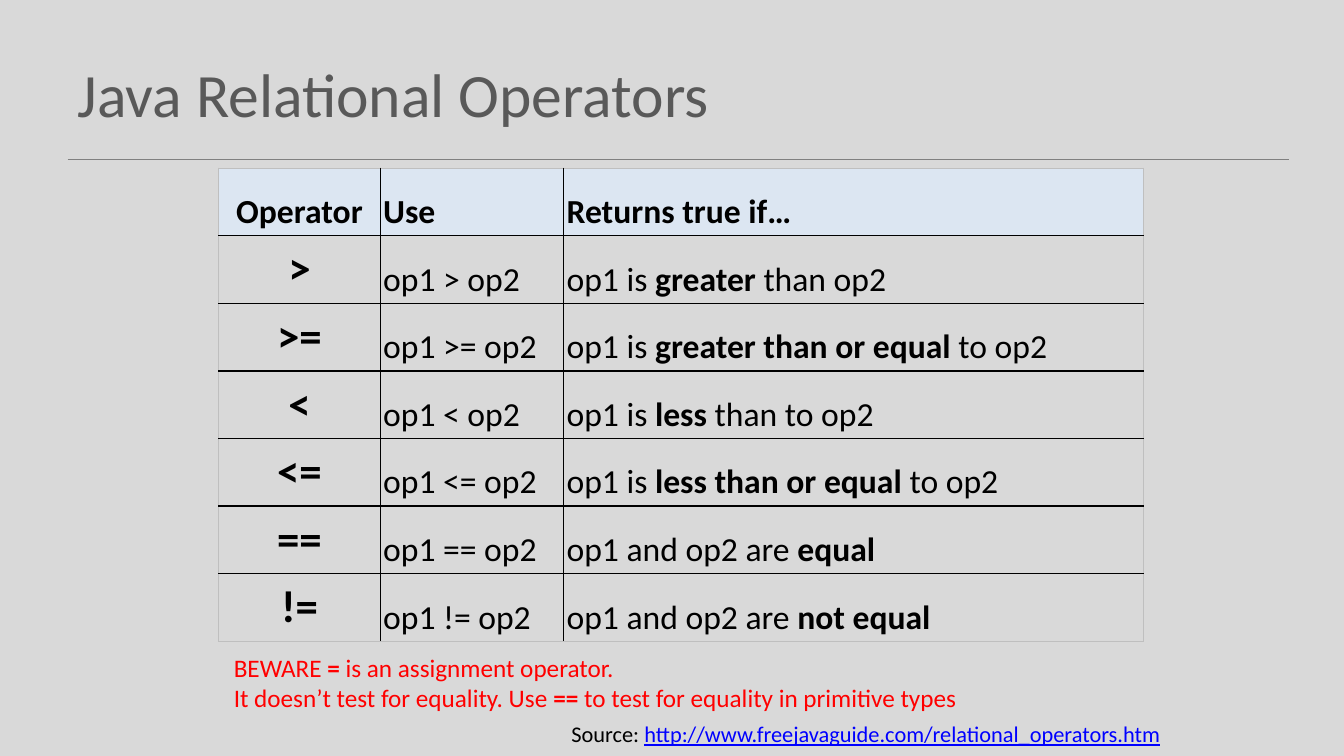
from lxml import etree
from pptx import Presentation
from pptx.dml.color import RGBColor
from pptx.enum import shapes, text
from pptx.oxml import ns
from pptx.util import Inches, Pt

BACKGROUND = RGBColor(0xD9, 0xD9, 0xD9)
TITLE_GREY = RGBColor(0x59, 0x59, 0x59)
RULE_GREY = RGBColor(0x80, 0x80, 0x80)
EDGE_GREY = RGBColor(0xBF, 0xBF, 0xBF)
HEADER_BLUE = RGBColor(0xDC, 0xE6, 0xF2)
BLACK = RGBColor(0, 0, 0)
RED = RGBColor(0xFF, 0, 0)
LINK_BLUE = RGBColor(0, 0, 0xFF)

COLUMN_WIDTHS = (1.6, 1.82, 5.75)
HEADER = ("Operator", "Use", "Returns true if…")
OPERATORS = (
    (">", "op1 is **greater** than op2"),
    (">=", "op1 is **greater than or equal** to op2"),
    ("<", "op1 is **less** than to op2"),
    ("<=", "op1 is **less than or equal** to op2"),
    ("==", "op1 and op2 are **equal**"),
    ("!=", "op1 and op2 are **not equal**"),
)


def add_run(p, words, size, color, **extra):
    r = p.add_run()
    r.text = words
    r.font.color.rgb = color
    formats = {"name": "Calibri", "size": Pt(size), **extra}
    for name, value in formats.items():
        setattr(r.font, name, value)


def write(p, marked, size, color):
    """Fill a paragraph, with the parts between ** marks in bold."""
    for i, words in enumerate(marked.split("**")):
        if words:
            add_run(p, words, size, color, bold=i % 2 == 1)


def add_title(slide, words):
    sp = slide.shapes.title
    place = {"left": 0.67, "top": 0.3, "width": 12, "height": 1.25}
    for name, value in place.items():
        setattr(sp, name, Inches(value))
    tf = sp.text_frame
    tf.vertical_anchor = text.MSO_ANCHOR.MIDDLE
    p = tf.paragraphs[0]
    p.alignment = text.PP_ALIGN.LEFT
    write(p, words, 44, TITLE_GREY)


def add_rule(slide):
    line = slide.shapes.add_connector(
        shapes.MSO_CONNECTOR.STRAIGHT,
        Inches(0.67), Inches(1.58), Inches(12.78), Inches(1.58))
    line.line.color.rgb = RULE_GREY
    line.line.width = Pt(1)
    etree.SubElement(line._element.spPr, ns.qn("a:effectLst"))


def set_borders(cell, colors):
    """Draw the left, right, top and bottom borders in the given colours."""
    props = cell._tc.get_or_add_tcPr()
    for i, (side, color) in enumerate(zip("LRTB", colors)):
        ln = etree.Element(ns.qn(f"a:ln{side}"), w=str(Pt(1)))
        fill = etree.SubElement(ln, ns.qn("a:solidFill"))
        etree.SubElement(fill, ns.qn("a:srgbClr"), val=str(color))
        props.insert(i, ln)


def fill_cell(cell, marked, size, spacing, centred):
    margins = ("margin_left", "margin_right", "margin_top", "margin_bottom")
    for name in margins:
        setattr(cell, name, Inches(0.03))
    cell.vertical_anchor = text.MSO_ANCHOR.MIDDLE
    p = cell.text_frame.paragraphs[0]
    p.alignment = text.PP_ALIGN.CENTER if centred else text.PP_ALIGN.LEFT
    p.line_spacing = spacing
    write(p, marked, size, BLACK)


def add_operator_table(slide):
    rows = [[f"**{name}**" for name in HEADER]]
    rows += [[f"**{op}**", f"op1 {op} op2", meaning]
             for op, meaning in OPERATORS]
    last_row, last_col = len(rows) - 1, len(HEADER) - 1
    table = slide.shapes.add_table(
        len(rows), len(HEADER), Inches(2.17), Inches(1.67),
        Inches(9.17), Inches(4.16)).table
    table.first_row = table.horz_banding = False
    for column, width in zip(table.columns, COLUMN_WIDTHS):
        column.width = Inches(width)
    for i, row in enumerate(rows):
        for j, marked in enumerate(row):
            cell = table.cell(i, j)
            is_symbol = i > 0 and j == 0
            fill_cell(cell, marked, 32 if is_symbol else 24,
                      1.0 if is_symbol else 1.5, j == 0)
            if i == 0:
                cell.fill.solid()
                cell.fill.fore_color.rgb = HEADER_BLUE
            else:
                cell.fill.background()
            at_edge = (j == 0, j == last_col, i == 0, i == last_row)
            set_borders(cell, [EDGE_GREY if e else BLACK for e in at_edge])


def add_text_box(slide, left, top, width, height, wrap):
    tf = slide.shapes.add_textbox(
        Inches(left), Inches(top), Inches(width), Inches(height)).text_frame
    tf.word_wrap = wrap
    tf.auto_size = text.MSO_AUTO_SIZE.SHAPE_TO_FIT_TEXT
    return tf


def add_source(slide):
    tf = add_text_box(slide, 4.83, 7.1, 6.83, 0.37, True)
    tf.margin_right = Inches(0.15)
    p = tf.paragraphs[0]
    p.alignment = text.PP_ALIGN.RIGHT
    add_run(p, "Source: ", 16, BLACK)
    add_run(p, "http://www.freejavaguide.com/relational_operators.htm",
            16, LINK_BLUE, underline=True)


def add_warning(slide):
    tf = add_text_box(slide, 2.22, 6.42, 7.45, 0.71, False)
    write(tf.paragraphs[0], "BEWARE **=** is an assignment operator.", 18, RED)
    write(tf.add_paragraph(),
          "It doesn’t test for equality. Use **==** to test for equality "
          "in primitive types", 18, RED)


def main():
    prs = Presentation()
    prs.slide_width, prs.slide_height = Inches(13.33), Inches(7.5)
    slide = prs.slides.add_slide(prs.slide_layouts.get_by_name("Title Only"))
    slide.background.fill.solid()
    slide.background.fill.fore_color.rgb = BACKGROUND
    add_rule(slide)
    add_title(slide, "Java Relational Operators")
    add_operator_table(slide)
    add_source(slide)
    add_warning(slide)
    prs.save("out.pptx")


if __name__ == "__main__":
    main()
